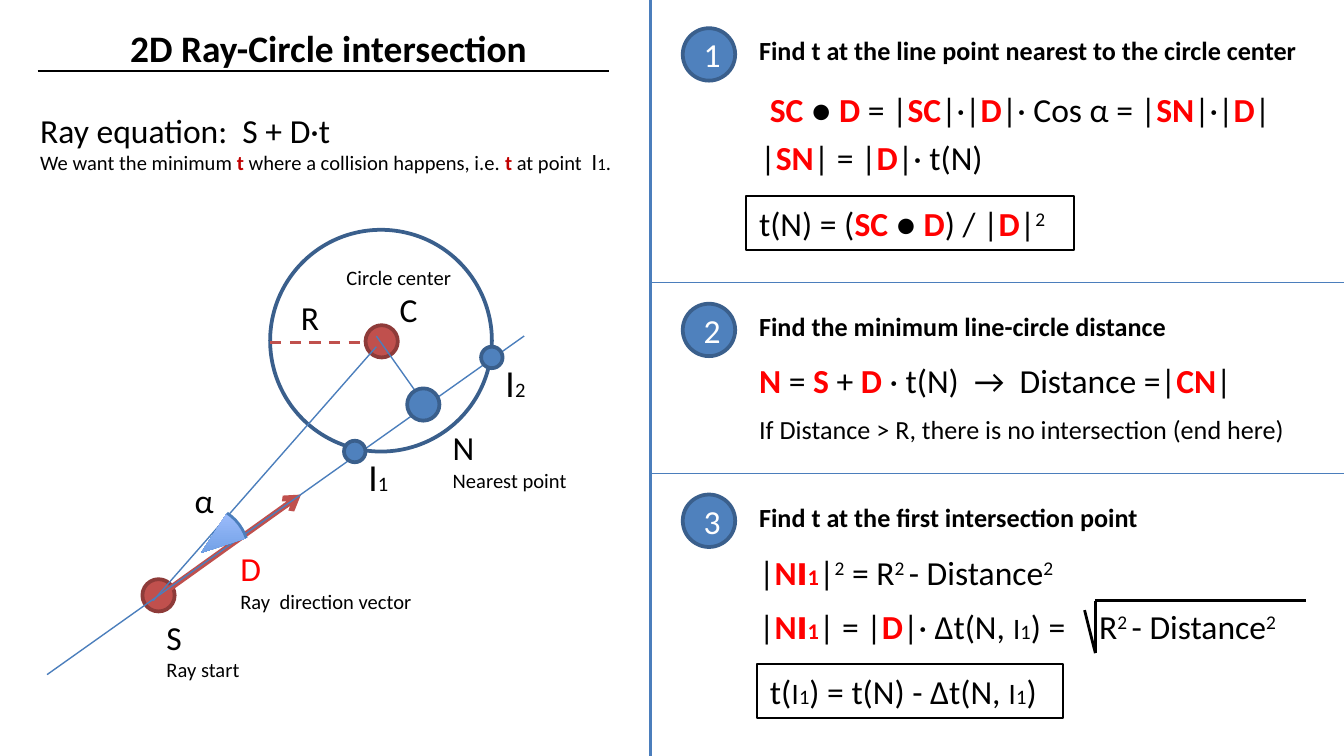
from dataclasses import dataclass

from lxml import etree
from pptx import Presentation
from pptx import util as u
from pptx.dml.color import RGBColor
from pptx.enum import dml, shapes, text
from pptx.oxml.ns import qn


@dataclass(frozen=True)
class Theme:
    font: str = "Calibri"
    letter_font: str = "DejaVu Sans"
    ink: str = "000000"
    paper: str = "FFFFFF"
    vector: str = "FF0000"
    target: str = "C00000"
    blue: str = "4F81BD"
    blue_edge: str = "3A5F8C"
    blue_line: str = "4B7EBC"
    red: str = "C0504D"
    red_edge: str = "8E3B39"
    title: float = 20
    body: float = 18
    heading: float = 14
    caption: float = 11


THEME = Theme()

# Inline styles: a piece between backticks starts with one of these keys
STYLES = {
    "v": dict(color=THEME.vector, bold=True),
    "t": dict(color=THEME.target, bold=True),
    "^": dict(raised=True),
    "L": dict(font=THEME.letter_font),
    "l": dict(font=THEME.letter_font, size=14),
    "n": dict(size=11),
    "m": dict(size=9),
    "B": dict(font=THEME.letter_font, size=16, color=THEME.vector, bold=True),
    "b": dict(size=12, color=THEME.vector, bold=True),
}


class Board:
    """Draws on one slide; a grid column or row is a tenth of an inch."""

    COLUMNS, ROWS = 100, 56.25

    def __init__(self, presentation, theme):
        self.theme = theme
        presentation.slide_width = self.cells(self.COLUMNS)
        presentation.slide_height = self.cells(self.ROWS)
        self.slide = presentation.slides.add_slide(presentation.slide_layouts[5])

    def cells(self, *counts):
        lengths = [u.Inches(count / 10) for count in counts]
        return lengths if len(lengths) > 1 else lengths[0]

    def stroke(self, line, color, width):
        line.color.rgb = RGBColor.from_string(color)
        line.width = u.Pt(width)

    def add_runs(self, paragraph, markup, size, color=None, bold=False):
        base = dict(font=self.theme.font, size=size, bold=bold,
                    color=color or self.theme.ink, raised=False)
        for index, piece in enumerate(markup.split("`")):
            if not piece:
                continue
            style = dict(base)
            if index % 2:
                style.update(STYLES[piece[0]])
                piece = piece[1:]
            run = paragraph.add_run()
            run.text = piece
            run.font.name = style["font"]
            run.font.size = u.Pt(style["size"])
            run.font.bold = style["bold"]
            run.font.color.rgb = RGBColor.from_string(style["color"])
            if style["raised"]:
                run.font._element.set("baseline", "30000")

    def title(self, words, box):
        shape = self.slide.shapes.title
        shape.left, shape.top, shape.width, shape.height = self.cells(*box)
        frame = shape.text_frame
        frame.auto_size = text.MSO_AUTO_SIZE.NONE
        frame.vertical_anchor = text.MSO_ANCHOR.TOP
        frame.paragraphs[0].alignment = text.PP_ALIGN.CENTER
        self.add_runs(frame.paragraphs[0], words, self.theme.title, bold=True)

    def text(self, box, *lines, framed=False, indent=0, tab=0, **style):
        """Each line is (markup, size); indent and tab apply to the last line."""
        shape = self.slide.shapes.add_textbox(*self.cells(*box))
        if framed:
            self.stroke(shape.line, self.theme.ink, 1)
        frame = shape.text_frame
        frame.word_wrap = True
        for index, (markup, size) in enumerate(lines):
            paragraph = frame.add_paragraph() if index else frame.paragraphs[0]
            self.add_runs(paragraph, markup, size, **style)
        properties = paragraph._p.get_or_add_pPr()
        if indent:
            properties.set("marL", str(self.cells(indent)))
        if tab:
            stops = etree.SubElement(properties, qn("a:tabLst"))
            etree.SubElement(stops, qn("a:tab"), pos=str(self.cells(tab)), algn="l")

    def disc(self, left, top, size, fill, edge, label=""):
        shape = self.slide.shapes.add_shape(
            shapes.MSO_SHAPE.OVAL, *self.cells(left, top, size, size))
        shape.shadow.inherit = False
        if fill:
            shape.fill.solid()
            shape.fill.fore_color.rgb = RGBColor.from_string(fill)
        else:
            shape.fill.background()
        self.stroke(shape.line, edge, 2)
        if label:
            frame = shape.text_frame
            frame.vertical_anchor = text.MSO_ANCHOR.MIDDLE
            frame.paragraphs[0].alignment = text.PP_ALIGN.CENTER
            self.add_runs(frame.paragraphs[0], label, self.theme.body, self.theme.paper)

    def arc(self, left, top, size, start, end):
        shape = self.slide.shapes.add_shape(
            shapes.MSO_SHAPE.ARC, *self.cells(left, top, size, size))
        shape.shadow.inherit = False
        # Angles are stored in 1/60000 degree, adjustments in 1/100000
        for index, degrees in enumerate((start, end)):
            shape.adjustments[index] = degrees * 0.6
        self.stroke(shape.line, self.theme.blue_line, 1.5)

    def line(self, start, end, color, width, dashed=False, arrow=False):
        connector = self.slide.shapes.add_connector(
            shapes.MSO_CONNECTOR.STRAIGHT, *self.cells(*start, *end))
        self.stroke(connector.line, color, width)
        if dashed:
            connector.line.dash_style = dml.MSO_LINE.DASH
        if arrow:
            etree.SubElement(connector.line._get_or_add_ln(), qn("a:tailEnd"), type="arrow")
        etree.SubElement(connector._element.spPr, qn("a:effectLst"))


presentation = Presentation()
board = Board(presentation, THEME)
BODY, HEADING, CAPTION = THEME.body, THEME.heading, THEME.caption
BLUE, RED = (THEME.blue, THEME.blue_edge), (THEME.red, THEME.red_edge)

# Title and introduction
board.title("2D Ray-Circle intersection", (2, 1.4, 44.9, 4.4))
board.line((2.8, 5.3), (45.3, 5.3), THEME.ink, 1)
board.text((2, 7.7, 47.2, 5.9), ("Ray equation:  S + D·t", BODY),
           ("We want the minimum `tt` where a collision happens, i.e. `tt` at point  "
            "`LI``m1`.", CAPTION))

# Diagram: ray, circle and points
board.disc(10.6, 43.1, 2.4, *RED)
board.line((12.2, 44.1), (22.4, 36.8), THEME.red, 3, arrow=True)
board.line((3.5, 50.2), (39, 25), THEME.blue_line, 0.75)
board.disc(20.1, 17.1, 16.5, None, THEME.blue_edge)
for left, top in ((35.8, 25.8), (25.6, 32.8)):
    board.disc(left, top, 1.6, *BLUE)
board.disc(27.2, 24.2, 2.4, *RED)
board.line((11.4, 44.7), (28, 25.8), THEME.blue_line, 0.75)
board.line((31.9, 30.5), (28, 25), THEME.blue_line, 0.75)
board.disc(30.3, 28.9, 2.4, *BLUE)
board.arc(11.4, 37.6, 7.1, 303.2, 341.8)
board.line((20.1, 25.5), (28, 25.5), THEME.red, 1.5, dashed=True)

# Diagram labels
board.text((11.4, 45.4, 7.9, 6.1), ("S", BODY), ("Ray start", CAPTION))
board.text((16.9, 40.3, 15, 4), ("D", BODY), color=THEME.vector)
board.text((16.9, 43.35, 15, 2.8), ("Ray  direction vector", CAPTION))
board.text((24.8, 19.2, 12.6, 5.9), ("Circle center", CAPTION), ("C", BODY), indent=3.96)
board.text((32.7, 31.3, 11.8, 5.9), ("N", BODY), ("Nearest point", CAPTION))
for left, top, width, markup in (
        (26.4, 33.6, 3.9, "`LI``n1`"), (36.6, 26.6, 3.9, "`LI``n2`"),
        (13.5, 35.2, 3.5, "α"), (21.4, 21.6, 3.4, "R")):
    board.text((left, top, width, 4), (markup, BODY))

# Panel dividers
board.line((48.4, 0), (48.4, board.ROWS), THEME.blue_line, 1.5)
for row in (21, 35.2):
    board.line((48.4, row), (board.COLUMNS, row), THEME.blue_line, 0.25)

# Numbered steps
for number, (row, heading) in enumerate((
        (2.1, "Find t at the line point nearest to the circle center"),
        (22.6, "Find the minimum line-circle distance"),
        (36.8, "Find t at the first intersection point")), start=1):
    board.disc(50.8, row, 3.9, *BLUE, label=str(number))
    board.text((55.5, row, 43.7, 3.4), (heading, HEADING), bold=True)

# Formulas
for box, markup, options in (
        ((56.3, 6.1, 40.9, 4),
         "`vSC` ● `vD` = |`vSC`|·|`vD`|· Cos α = |`vSN`|·|`vD`|", {}),
        ((55.6, 9.7, 20.4, 4), "|`vSN`| = |`vD`|· t(N)", {}),
        ((55.5, 14.6, 24.4, 4), "t(N) = (`vSC` ● `vD`) / |`vD`|`^2`", dict(framed=True)),
        ((55.5, 26.3, 38.6, 4),
         "`vN` = `vS` + `vD` · t(N)  →  Distance =|`vCN`|", {}),
        ((55.5, 40.6, 32.3, 4), "|`vN``BI``b1`|`^2` = R`^2 `- Distance`^2`", {}),
        ((55.5, 44.6, 43.3, 4),
         "|`vN``BI``b1`| = |`vD`|· ∆t(N, `lI``n1`) =\tR`^2 `- Distance`^2`",
         dict(tab=25.3)),
        ((56.3, 49.4, 22.8, 4), "t(`lI``n1`) = t(N) - ∆t(N, `lI``n1`)", dict(framed=True))):
    board.text(box, (markup, BODY), **options)
board.text((55.5, 30.3, 44.5, 3.4),
           ("If Distance > R, there is no intersection (end here)", HEADING))

# Square root sign
root = ((80.7, 45.4), (81.5, 48.6), (81.5, 44.7), (97.2, 44.7))
for start, end in zip(root, root[1:]):
    board.line(start, end, THEME.ink, 1.5)

presentation.save("out.pptx")
